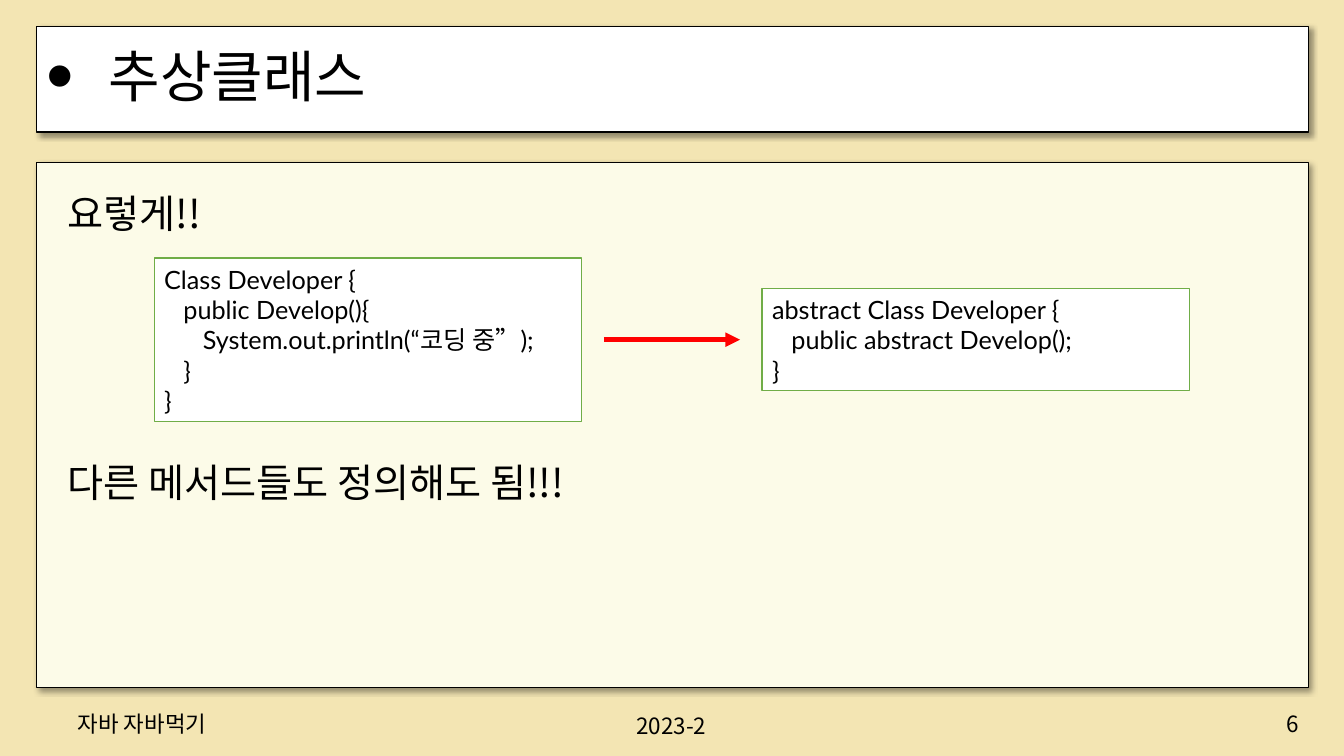
"""Build the slide on turning a Java class into an abstract class."""
from lxml.etree import SubElement
from pptx import Presentation
from pptx.dml.color import RGBColor
from pptx.enum.shapes import MSO_CONNECTOR, MSO_SHAPE
from pptx.enum.text import MSO_ANCHOR, MSO_AUTO_SIZE, PP_ALIGN
from pptx.oxml.ns import qn
from pptx.util import Inches, Pt

KOREAN = "Noto Sans CJK KR"
LATIN = "Lato"
MARGIN, PANEL_WIDTH = 0.36, 12.62
CODE_WIDTH, CODE_MIDDLE = 4.24, 3.37


def write(para, text, size, font=KOREAN):
    span = para.add_run()
    span.text = text
    span.font.size = Pt(size)
    span.font.name = font
    span.font.color.rgb = RGBColor.from_string("000000")
    SubElement(span.font._element, qn("a:ea"), typeface=KOREAN)


def style(box, place, fill, line, width, anchor=MSO_ANCHOR.MIDDLE):
    box.left, box.top, box.width, box.height = [Inches(length) for length in place]
    box.fill.solid()
    box.fill.fore_color.rgb = RGBColor.from_string(fill)
    box.line.color.rgb = RGBColor.from_string(line)
    box.line.width = Pt(width)
    box.shadow.inherit = False
    frame = box.text_frame
    frame.word_wrap = True
    frame.auto_size = MSO_AUTO_SIZE.NONE
    frame.vertical_anchor = anchor
    return frame


deck = Presentation()
deck.slide_width, deck.slide_height = Inches(13.33), Inches(7.5)
page = deck.slides.add_slide(deck.slide_layouts[5])
page.background.fill.solid()
page.background.fill.fore_color.rgb = RGBColor.from_string("F3E5B3")

title = page.shapes.title
frame = style(title, (MARGIN, 0.26, PANEL_WIDTH, 1.05), "FFFFFF", "000000", 0.75)
para = frame.paragraphs[0]
para.alignment = PP_ALIGN.LEFT
para.line_spacing = 0.9
properties = para._p.get_or_add_pPr()
properties.set("marL", str(Inches(0.62)))
properties.set("indent", str(-Inches(0.62)))
SubElement(properties, qn("a:buSzPct"), val="140000")
SubElement(properties, qn("a:buFont"), typeface="Arial")
SubElement(properties, qn("a:buChar"), char="•")
write(para, "추상클래스", 40)

body = page.shapes.add_shape(MSO_SHAPE.RECTANGLE, 0, 0, 0, 0)
frame = style(body, (MARGIN, 1.61, PANEL_WIDTH, 5.21), "FCFBE8", "000000", 0.75, MSO_ANCHOR.TOP)
frame.margin_left = frame.margin_right = Inches(0.31)
frame.margin_top = frame.margin_bottom = Inches(0.2)
for index, (text, gap) in enumerate([("요렇게!!", 0), ("다른 메서드들도 정의해도 됨!!!", 154)]):
    para = frame.add_paragraph() if index else frame.paragraphs[0]
    para.alignment = PP_ALIGN.LEFT
    para.line_spacing = 1.14
    para.space_before = Pt(gap)
    write(para, text, 28)

for panel in (title, body):
    effects = panel._element.spPr.find(qn("a:effectLst"))
    shadow = SubElement(effects, qn("a:outerShdw"), blurRad=str(Pt(4)), dist=str(Pt(3)),
                        dir="2700000", algn="tl", rotWithShape="0")
    color = SubElement(shadow, qn("a:srgbClr"), val="000000")
    SubElement(color, qn("a:alpha"), val="40000")

listings = [
    (1.53, 1.62, ["Class Developer {", "   public Develop(){",
                  "      System.out.println(“코딩 중”);", "   }", "}"]),
    (7.56, 1.01, ["abstract Class Developer {", "   public abstract Develop();", "}"]),
]
for left, height, lines in listings:
    box = page.shapes.add_shape(MSO_SHAPE.RECTANGLE, 0, 0, 0, 0)
    place = (left, CODE_MIDDLE - height / 2, CODE_WIDTH, height)
    frame = style(box, place, "FFFFFF", "70AD47", 1)
    for index, line in enumerate(lines):
        para = frame.add_paragraph() if index else frame.paragraphs[0]
        para.alignment = PP_ALIGN.LEFT
        write(para, line, 18, LATIN)

arrow = page.shapes.add_connector(MSO_CONNECTOR.STRAIGHT, Inches(5.99), Inches(CODE_MIDDLE),
                                  Inches(7.34), Inches(CODE_MIDDLE))
arrow.line.color.rgb = RGBColor.from_string("FF0000")
arrow.line.width = Pt(3.5)
SubElement(arrow.line._get_or_add_ln(), qn("a:tailEnd"), type="triangle")
SubElement(arrow._element.spPr, qn("a:effectLst"))

footers = [
    ("자바 자바먹기", MARGIN, 6.98, 2.1, PP_ALIGN.CENTER),
    ("2023-2", 5.61, 7, 2.1, PP_ALIGN.CENTER),
    ("6", 9.98, 6.98, 3, PP_ALIGN.RIGHT),
]
for text, left, top, width, alignment in footers:
    box = page.shapes.add_textbox(Inches(left), Inches(top), Inches(width), Inches(0.4))
    box.text_frame.word_wrap = True
    box.text_frame.vertical_anchor = MSO_ANCHOR.MIDDLE
    para = box.text_frame.paragraphs[0]
    para.alignment = alignment
    write(para, text, 16)

deck.save("out.pptx")
